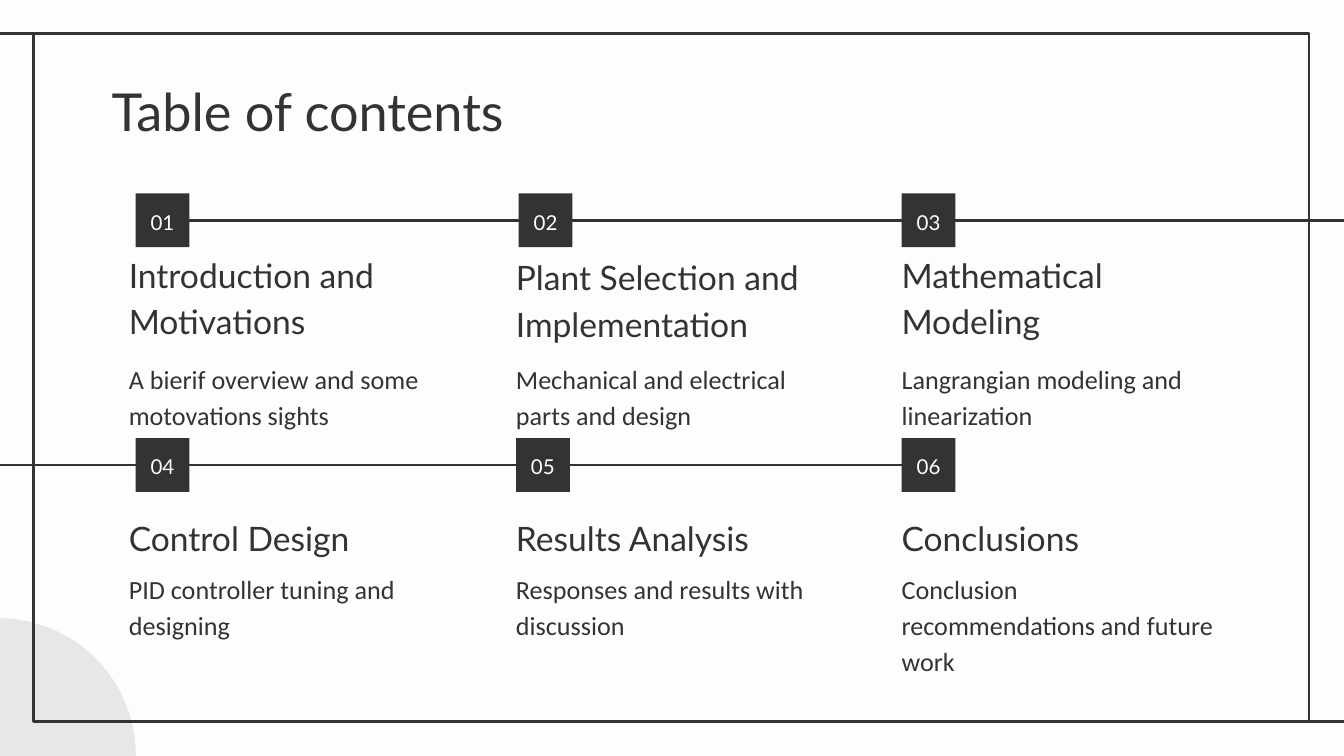
from dataclasses import dataclass

from lxml import etree
from pptx import Presentation
from pptx.dml.color import RGBColor
from pptx.enum.shapes import MSO_CONNECTOR, MSO_SHAPE
from pptx.enum.text import MSO_ANCHOR, MSO_AUTO_SIZE, PP_ALIGN
from pptx.oxml.ns import qn
from pptx.util import Inches, Pt

RECTANGLE, OVAL = MSO_SHAPE.RECTANGLE, MSO_SHAPE.OVAL
STRAIGHT = MSO_CONNECTOR.STRAIGHT
TOP, MIDDLE, BOTTOM = MSO_ANCHOR.TOP, MSO_ANCHOR.MIDDLE, MSO_ANCHOR.BOTTOM
LEFT, CENTER = PP_ALIGN.LEFT, PP_ALIGN.CENTER
NO_AUTOFIT = MSO_AUTO_SIZE.NONE
LEFT_SIDE, RIGHT_SIDE = 1, 3


@dataclass(frozen=True)
class Theme:
    background: RGBColor = RGBColor(0xFD, 0xFD, 0xFD)
    ink: RGBColor = RGBColor(0x33, 0x33, 0x33)
    circle: RGBColor = RGBColor(0xE8, 0xE7, 0xE7)
    heading_font: str = "Lato"
    body_font: str = "Calibri"
    title_size: int = 28
    heading_size: int = 18
    body_size: int = 14
    number_size: int = 11
    line_width: float = 1.5


theme = Theme()


def write_text(shape, text, font, size, color, anchor=TOP, align=LEFT, spacing=1.15):
    frame = shape.text_frame
    frame.text = text
    frame.word_wrap = True
    frame.auto_size = NO_AUTOFIT
    frame.vertical_anchor = anchor
    frame.margin_left = frame.margin_right = Inches(0.1)
    frame.margin_top = frame.margin_bottom = Inches(0.1)
    paragraph = frame.paragraphs[0]
    paragraph.alignment = align
    paragraph.line_spacing = spacing
    run = paragraph.runs[0]
    run.font.name = font
    run.font.size = Pt(size)
    run.font.color.rgb = color


def add_line(start_x, end_x, y):
    line = slide.shapes.add_connector(
        STRAIGHT, Inches(start_x), Inches(y), Inches(end_x), Inches(y)
    )
    line.line.color.rgb = theme.ink
    line.line.width = Pt(theme.line_width)
    etree.SubElement(line._element.spPr, qn("a:effectLst"))
    return line


presentation = Presentation()
presentation.slide_width = Inches(10)
presentation.slide_height = Inches(10) * 9 // 16
slide = presentation.slides.add_slide(presentation.slide_layouts[5])
slide.background.fill.solid()
slide.background.fill.fore_color.rgb = theme.background

title = slide.shapes.title
title.left, title.top = Inches(0.73), Inches(0.49)
title.width, title.height = Inches(8.43), Inches(0.63)
write_text(title, "Table of contents", theme.heading_font, theme.title_size,
           theme.ink, spacing=1)

circle = slide.shapes.add_shape(
    OVAL, Inches(-1.03), Inches(4.6), Inches(2.04), Inches(2.04)
)
circle.shadow.inherit = False
circle.fill.solid()
circle.fill.fore_color.rgb = theme.circle
circle.line.fill.background()

border = slide.shapes.add_shape(
    RECTANGLE, Inches(0.25), Inches(0.25), Inches(9.49), Inches(5.12)
)
border.shadow.inherit = False
border.fill.background()
border.line.color.rgb = theme.ink
border.line.width = Pt(theme.line_width)
add_line(0.26, -0.02, 0.25)
add_line(10.03, 9.74, 5.37)

top_line = add_line(1.41, 10.17, 1.64)
bottom_line = add_line(6.71, -0.18, 3.46)

number_side = 0.4
text_width = 2.52
text_lefts = [0.86, 3.74, 6.61]
rows = [
    (1.44, 2.57, [
        (1.01, 1.84, 0.8, "Introduction and Motivations",
         "A bierif overview and some motovations sights"),
        (3.86, 1.85, 0.81, "Plant Selection and Implementation",
         "Mechanical and electrical parts and design"),
        (6.71, 1.84, 0.8, "Mathematical Modeling",
         "Langrangian modeling and linearization"),
    ]),
    (3.26, 4.13, [
        (1.01, 3.83, 0.42, "Control Design", "PID controller tuning and designing"),
        (3.84, 3.83, 0.42, "Results Analysis", "Responses and results with discussion"),
        (6.71, 3.83, 0.42, "Conclusions", "Conclusion recommendations and future work"),
    ]),
]

number_boxes = []
for number_top, body_top, sections in rows:
    for text_left, section in zip(text_lefts, sections):
        number_left, heading_top, heading_height, heading, description = section
        number_box = slide.shapes.add_shape(
            RECTANGLE, Inches(number_left), Inches(number_top),
            Inches(number_side), Inches(number_side)
        )
        number_box.shadow.inherit = False
        number_box.fill.solid()
        number_box.fill.fore_color.rgb = theme.ink
        number_box.line.fill.background()
        number_boxes.append(number_box)
        write_text(number_box, f"{len(number_boxes):02d}", theme.heading_font,
                   theme.number_size, theme.background, MIDDLE, CENTER)

        heading_box = slide.shapes.add_textbox(
            Inches(text_left), Inches(heading_top), Inches(text_width), Inches(heading_height)
        )
        write_text(heading_box, heading, theme.heading_font, theme.heading_size,
                   theme.ink, BOTTOM)

        body_box = slide.shapes.add_textbox(
            Inches(text_left), Inches(body_top), Inches(text_width), Inches(0.63)
        )
        write_text(body_box, description, theme.body_font, theme.body_size, theme.ink)

top_line.begin_connect(number_boxes[0], RIGHT_SIDE)
bottom_line.begin_connect(number_boxes[-1], LEFT_SIDE)

presentation.save("out.pptx")
